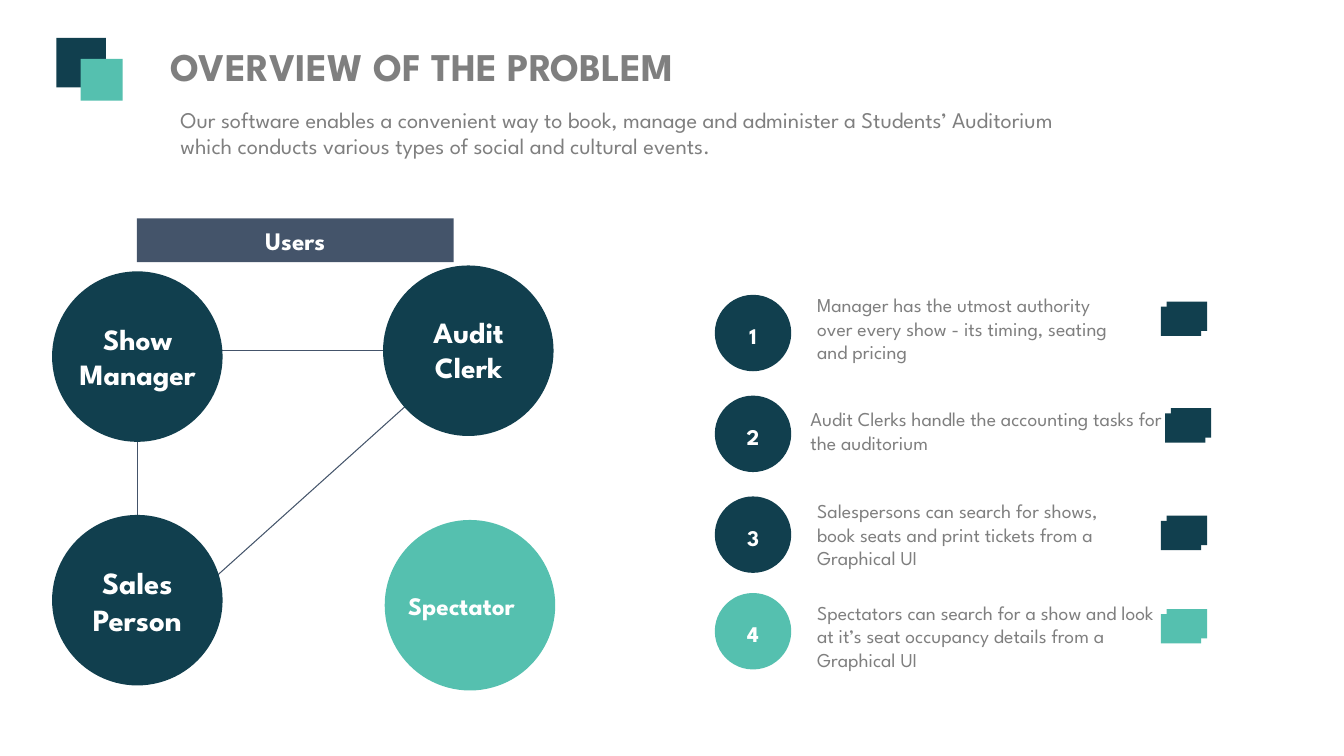
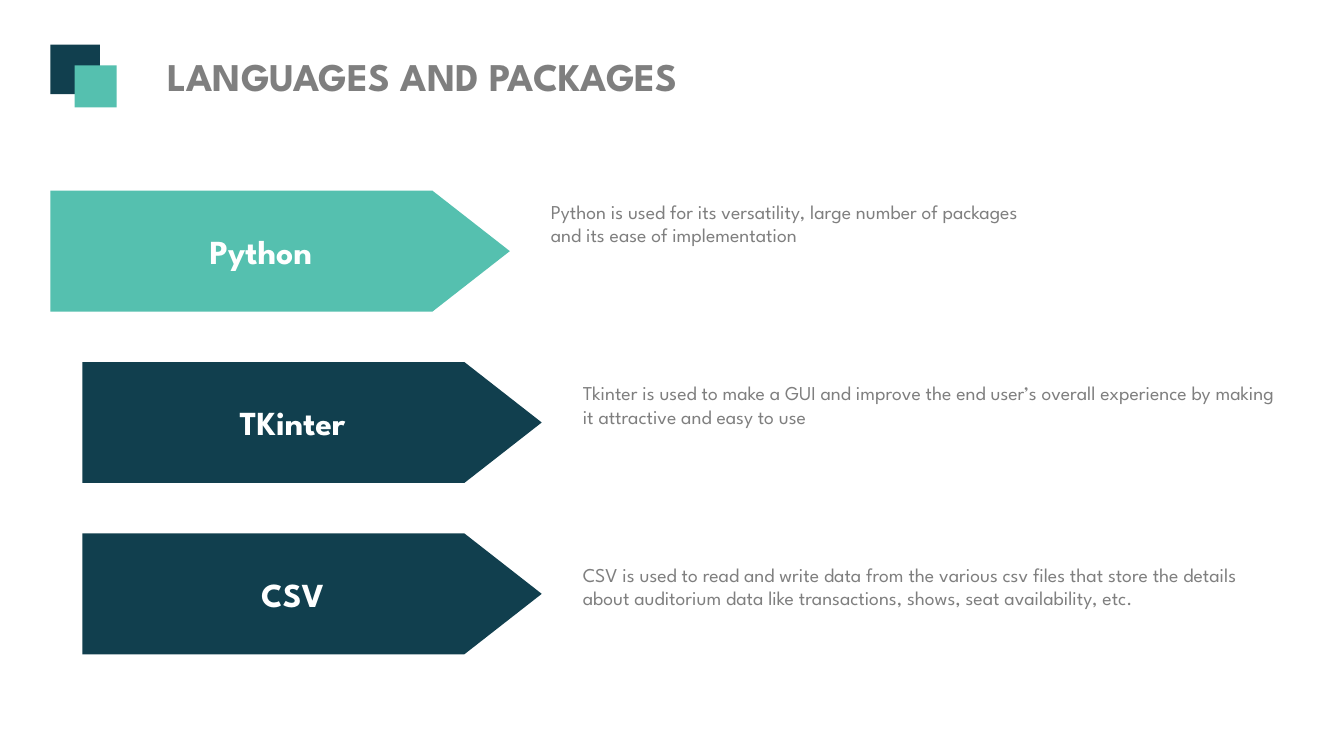
"""Build two slides on an auditorium booking system: its users and its tools."""
import dataclasses
import typing

import lxml.etree
import pptx
import pptx.dml.color
import pptx.enum.shapes
import pptx.enum.text
import pptx.oxml.ns
import pptx.util

RGBColor = pptx.dml.color.RGBColor
SHAPE = pptx.enum.shapes.MSO_SHAPE
ALIGN = pptx.enum.text.PP_ALIGN
ANCHOR = pptx.enum.text.MSO_ANCHOR

NAVY = RGBColor(0x11, 0x3F, 0x4E)
TEAL = RGBColor(0x55, 0xC0, 0xAF)
SLATE = RGBColor(0x44, 0x54, 0x6A)
GRAY = RGBColor(0x7F, 0x7F, 0x7F)
WHITE = RGBColor(0xFF, 0xFF, 0xFF)
FONT = "League Spartan"

SLIDE_W, SLIDE_H = pptx.util.Emu(12192000), pptx.util.Emu(6858000)
COLS, ROWS = 160, 90
USER_SIZE = 20.3
BADGE_COL, BADGE_SIZE = 85.1, 9.1
ARROW_W, ARROW_H, ARROW_PITCH = 54.7, 14.4, 20.4
NOTE_GAP, NOTE_PITCH = 58.4, 21.6


class Box(typing.NamedTuple):
    col: float
    row: float
    cols: float
    rows: float


@dataclasses.dataclass(frozen=True)
class User:
    name: str
    col: float
    row: float
    label: Box
    size: int = 21
    color: RGBColor = NAVY
    align: ALIGN = ALIGN.CENTER


@dataclasses.dataclass(frozen=True)
class Role:
    text: str
    badge_row: float
    note: Box
    icon_col: float
    icon_row: float
    color: RGBColor = NAVY


@dataclasses.dataclass(frozen=True)
class Tool:
    name: str
    text: str
    col: float
    color: RGBColor = NAVY


USERS = [
    User("Show Manager", 6.2, 32.3, Box(7.4, 37.6, 18, 8.3)),
    User("Spectator", 45.8, 61.9, Box(47.4, 69.7, 18, 6.8), 18, TEAL, ALIGN.LEFT),
    User("Sales Person", 6.2, 61.3, Box(8.5, 66.5, 15.7, 6.8), 22),
    User("Audit Clerk", 45.6, 31.6, Box(48.6, 36.8, 14.4, 9.7)),
]
LINKS = [
    ((25.4, 41.7), (48.6, 41.7)),
    ((16.4, 52.5), (16.4, 61.3)),
    ((24.2, 70), (53.9, 43.3)),
]
ROLES = [
    Role("Manager has the utmost authority over every show - its timing, seating and pricing",
         35.1, Box(96.1, 34.3, 39.7, 6.8), 138.2, 36.5),
    Role("Audit Clerks handle the accounting tasks for the auditorium",
         47.1, Box(95.3, 47.9, 47.5, 6.8), 138.7, 49.2),
    Role("Salespersons can search for shows, book seats and print tickets from a Graphical UI",
         59.1, Box(96.1, 58.8, 39.7, 6.8), 138.2, 62),
    Role("Spectators can search for a show and look at it’s seat occupancy details from a Graphical UI",
         70.6, Box(96.1, 70.9, 42.5, 6.8), 138.2, 73.1, TEAL),
]
TOOLS = [
    Tool("Python", "Python is used for its versatility, large number of packages\n"
         "and its ease of implementation", 6, TEAL),
    Tool("TKinter", "Tkinter is used to make a GUI and improve the end user’s overall "
         "experience by making it attractive and easy to use", 9.8),
    Tool("CSV", "CSV is used to read and write data from the various csv files that store "
         "the details about auditorium data like transactions, shows, seat availability, etc.", 9.8),
]


def x(cols: float) -> pptx.util.Emu:
    return pptx.util.Emu(round(SLIDE_W * cols / COLS))


def y(rows: float) -> pptx.util.Emu:
    return pptx.util.Emu(round(SLIDE_H * rows / ROWS))


def place(box: Box) -> tuple:
    return x(box.col), y(box.row), x(box.cols), y(box.rows)


def write(sp, text: str, *, size: int, color: RGBColor = WHITE, bold: bool = True,
          align: ALIGN = ALIGN.CENTER, anchor: ANCHOR = ANCHOR.MIDDLE,
          spacing: typing.Optional[float] = None) -> None:
    tf = sp.text_frame
    tf.word_wrap = True
    tf.vertical_anchor = anchor
    for i, line in enumerate(text.split("\n")):
        p = tf.add_paragraph() if i else tf.paragraphs[0]
        p.alignment = align
        if spacing:
            p.line_spacing = spacing
        r = p.add_run()
        r.text = line
        r.font.name, r.font.size = FONT, pptx.util.Pt(size)
        r.font.bold, r.font.color.rgb = bold, color


def add_text(slide, box: Box, text: str, **style) -> None:
    write(slide.shapes.add_textbox(*place(box)), text, anchor=ANCHOR.TOP, **style)


def add_note(slide, box: Box, text: str, size: int = 14) -> None:
    add_text(slide, box, text, size=size, color=GRAY, bold=False, align=ALIGN.LEFT)


def add_shape(slide, kind: SHAPE, box: Box, color: RGBColor):
    sp = slide.shapes.add_shape(kind, *place(box))
    sp.shadow.inherit = False
    sp.fill.solid()
    sp.fill.fore_color.rgb = color
    sp.line.fill.background()
    return sp


def add_link(slide, start: tuple, end: tuple) -> None:
    line = slide.shapes.add_connector(
        pptx.enum.shapes.MSO_CONNECTOR.STRAIGHT,
        x(start[0]), y(start[1]), x(end[0]), y(end[1]))
    line.line.color.rgb = SLATE
    line.line.width = pptx.util.Pt(0.75)
    lxml.etree.SubElement(line._element.spPr, pptx.oxml.ns.qn("a:effectLst"))


def add_header(slide, text: str, col: float, row: float, title: Box) -> None:
    add_text(slide, title, text, size=28, color=GRAY)
    add_shape(slide, SHAPE.RECTANGLE, Box(col, row, 5.9, 5.9), NAVY)
    add_shape(slide, SHAPE.RECTANGLE, Box(col + 2.9, row + 2.5, 5, 5), TEAL)


def add_user(slide, user: User) -> None:
    add_shape(slide, SHAPE.OVAL, Box(user.col, user.row, USER_SIZE, USER_SIZE), user.color)
    add_text(slide, user.label, user.name, size=user.size, align=user.align)


def add_role(slide, number: int, role: Role) -> None:
    badge = Box(BADGE_COL, role.badge_row, BADGE_SIZE, BADGE_SIZE)
    write(add_shape(slide, SHAPE.OVAL, badge, role.color), str(number), size=16, spacing=1.2)
    for step in (0, 1):
        icon = Box(role.icon_col + 0.7 * step, role.icon_row - 0.6 * step, 4.8, 3.5)
        add_shape(slide, SHAPE.RECTANGLE, icon, role.color)
    add_note(slide, role.note, role.text)


def add_tool(slide, index: int, tool: Tool) -> None:
    arrow = Box(tool.col, 22.7 + index * ARROW_PITCH, ARROW_W, ARROW_H)
    sp = add_shape(slide, SHAPE.PENTAGON, arrow, tool.color)
    sp.adjustments[0] = 0.64
    write(sp, tool.name, size=24)
    add_note(slide, Box(tool.col + NOTE_GAP, 23.2 + index * NOTE_PITCH, 86.3, 13.6), tool.text)


def build_overview(slide) -> None:
    for start, end in LINKS:
        add_link(slide, start, end)
    add_header(slide, "OVERVIEW OF THE PROBLEM", 6.7, 4.5, Box(8.3, 4.5, 83.9, 6.8))
    add_note(slide, Box(20.3, 12, 107.9, 7.7),
             "Our software enables a convenient way to book, manage and administer a Students’ "
             "Auditorium which conducts various types of social and cultural events.", size=16)
    banner = add_shape(slide, SHAPE.RECTANGLE, Box(16.3, 26, 37.7, 5.2), SLATE)
    write(banner, "Users", size=18)
    for user in USERS:
        add_user(slide, user)
    for number, role in enumerate(ROLES, 1):
        add_role(slide, number, role)


def build_tools(slide) -> None:
    add_header(slide, "LANGUAGES AND PACKAGES", 6, 5.3, Box(6, 5.6, 88.6, 6.8))
    for index, tool in enumerate(TOOLS):
        add_tool(slide, index, tool)


def main() -> None:
    prs = pptx.Presentation()
    prs.slide_width, prs.slide_height = SLIDE_W, SLIDE_H
    for build in (build_overview, build_tools):
        build(prs.slides.add_slide(prs.slide_layouts[6]))
    prs.save("out.pptx")


if __name__ == "__main__":
    main()
